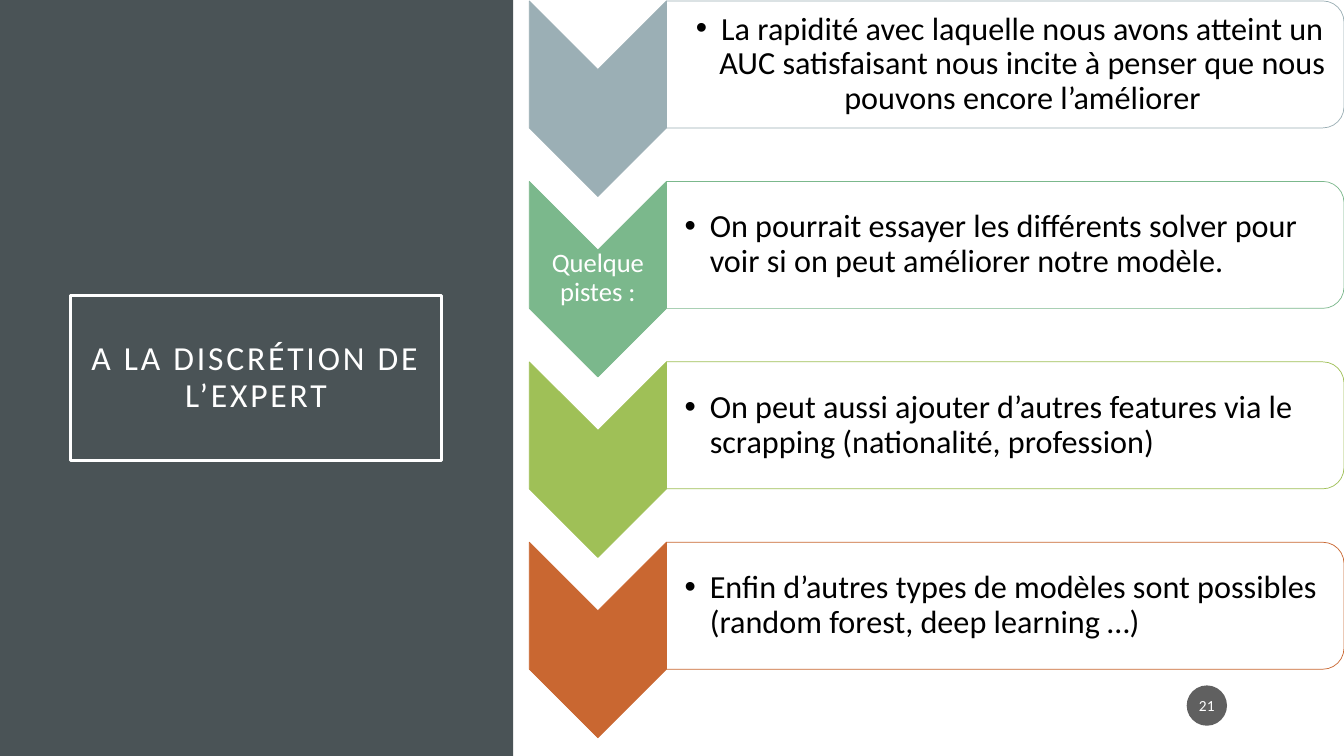
import dataclasses

import lxml.etree
import pptx
import pptx.dml.color
import pptx.enum.shapes
import pptx.enum.text
import pptx.oxml.ns
import pptx.util

Inches = pptx.util.Inches
Pt = pptx.util.Pt
Shape = pptx.enum.shapes.MSO_SHAPE
Align = pptx.enum.text.PP_ALIGN
qn = pptx.oxml.ns.qn


@dataclasses.dataclass(frozen=True)
class Theme:
    font: str = "Calibri"
    panel: str = "4A5356"
    white: str = "FFFFFF"
    black: str = "000000"
    badge: str = "1D1D1D"
    title_size: int = 24
    body_size: int = 23
    label_size: int = 19
    number_size: int = 11


THEME = Theme()
ROW_PITCH = 1.79
IDEAS = [
    ("9BAFB5", Align.CENTER,
     "La rapidité avec laquelle nous avons atteint un AUC satisfaisant nous incite "
     "à penser que nous pouvons encore l’améliorer"),
    ("7BB88C", Align.LEFT,
     "On pourrait essayer les différents solver pour voir si on peut améliorer notre modèle."),
    ("9FC057", Align.LEFT,
     "On peut aussi ajouter d’autres features via le scrapping (nationalité, profession)"),
    ("C96731", Align.LEFT,
     "Enfin d’autres types de modèles sont possibles (random forest, deep learning …)"),
]


def rgb(color):
    return pptx.dml.color.RGBColor.from_string(color)


def place(shape, left, top, width, height):
    shape.left, shape.top = Inches(left), Inches(top)
    shape.width, shape.height = Inches(width), Inches(height)


def add_block(page, preset, area, fill, line=None, opacity=None, rotation=0):
    block = page.shapes.add_shape(preset, *map(Inches, area))
    block.shadow.inherit = False
    block.rotation = rotation
    block.fill.solid()
    block.fill.fore_color.rgb = rgb(fill)
    if opacity is not None:
        color = block.fill._xPr.find(qn("a:solidFill"))[0]
        lxml.etree.SubElement(color, qn("a:alpha"), val=str(opacity * 1000))
    if line:
        block.line.color.rgb = rgb(line)
        block.line.width = Pt(0.5)
    else:
        block.line.fill.background()
    return block


def add_bullet(para):
    properties = para._p.get_or_add_pPr()
    properties.set("marL", str(Inches(0.25)))
    properties.set("indent", str(-Inches(0.25)))
    lxml.etree.SubElement(properties, qn("a:buFont"), typeface="Arial")
    lxml.etree.SubElement(properties, qn("a:buChar"), char="•")


def write(shape, text, size, color, insets, align=Align.CENTER,
          spacing=0.9, bullet=False, tracking=0):
    frame = shape.text_frame
    frame.word_wrap = True
    frame.auto_size = pptx.enum.text.MSO_AUTO_SIZE.NONE
    frame.vertical_anchor = pptx.enum.text.MSO_ANCHOR.MIDDLE
    frame.margin_left, frame.margin_top, frame.margin_right, frame.margin_bottom = map(Inches, insets)
    para = frame.paragraphs[0]
    if bullet:
        add_bullet(para)
    para.alignment = align
    para.line_spacing = spacing
    span = para.add_run()
    span.text = text
    span.font.name = THEME.font
    span.font.size = Pt(size)
    span.font.color.rgb = rgb(color)
    if tracking:
        span.font._element.set("spc", str(tracking * 100))


def add_text(page, area, *args, **options):
    box = page.shapes.add_textbox(*map(Inches, area))
    write(box, *args, **options)


def add_title(page, text):
    panel = add_block(page, Shape.RECTANGLE, (0, 0, 5.09, 7.5), THEME.panel)
    title = page.shapes.title
    title.element.addprevious(panel.element)
    place(title, 0.7, 2.93, 3.68, 1.64)
    title.line.color.rgb = rgb(THEME.white)
    title.line.width = Pt(2.5)
    write(title, text, THEME.title_size, THEME.white, (0.2,) * 4, tracking=2)


def add_idea(page, top, color, align, text):
    add_block(page, Shape.CHEVRON, (4.96, top + 0.3, 1.94, 1.36), color, color, rotation=90)
    add_block(page, Shape.ROUND_2_SAME_RECTANGLE, (9.34, top - 2.72, 1.26, 6.72),
              THEME.white, color, opacity=90, rotation=90)
    add_text(page, (6.61, top + 0.07, 6.66, 1.14), text, THEME.body_size, THEME.black,
             (0.18, 0.02, 0.02, 0.02), align=align, bullet=True)


def add_page_number(page, number):
    badge = add_block(page, Shape.OVAL, (11.77, 6.8, 0.4, 0.4), THEME.badge, opacity=70)
    write(badge, number, THEME.number_size, THEME.white, (0.02, 0.05, 0.02, 0.05), spacing=1.0)


def main():
    deck = pptx.Presentation()
    deck.slide_width, deck.slide_height = Inches(13.33), Inches(7.5)
    page = deck.slides.add_slide(deck.slide_layouts[5])
    add_title(page, "A LA DISCRÉTION DE L’EXPERT")
    for row, idea in enumerate(IDEAS):
        add_idea(page, row * ROW_PITCH, *idea)
    add_text(page, (5.25, 2.47, 1.36, 0.58), "Quelque pistes :",
             THEME.label_size, THEME.white, (0.01,) * 4)
    add_page_number(page, "21")
    deck.save("out.pptx")


if __name__ == "__main__":
    main()
